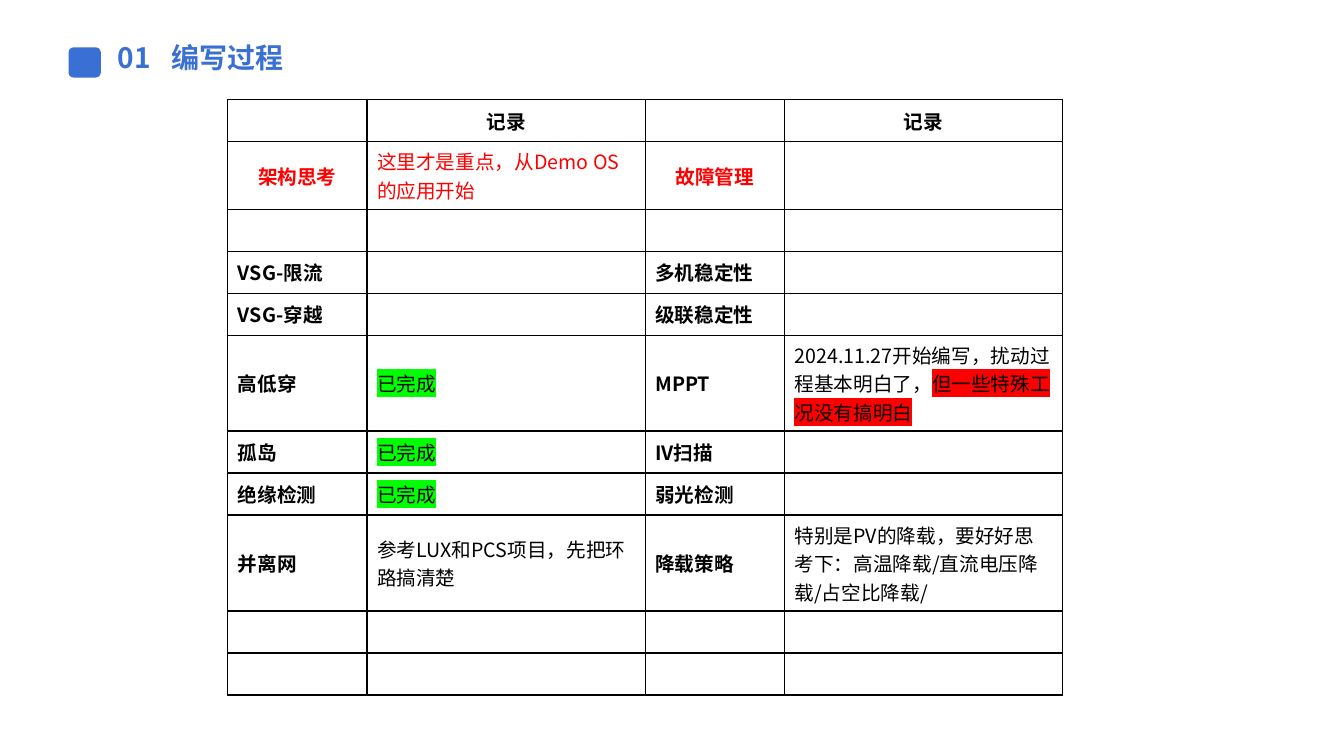
from dataclasses import dataclass

from lxml.etree import SubElement
from pptx import Presentation
from pptx.dml.color import RGBColor
from pptx.enum.shapes import MSO_SHAPE as Shape
from pptx.enum.text import MSO_ANCHOR as Anchor, MSO_AUTO_SIZE as AutoSize, PP_ALIGN as Align
from pptx.oxml.ns import qn
from pptx.util import Inches, Pt


@dataclass(frozen=True)
class Theme:
    """Colours, font and type sizes of the slide."""
    font: str = "Noto Sans CJK SC"
    title_size: int = 20
    table_size: int = 14
    blue: str = "3A70D3"
    black: str = "000000"
    red: str = "FF0000"
    green: str = "00FF00"


THEME = Theme()
DONE = [("已完成", THEME.green)]
PROGRESS = [
    ("", "记录", "", "记录"),
    ("架构思考", "这里才是重点，从Demo OS的应用开始", "故障管理", ""),
    ("", "", "", ""),
    ("VSG-限流", "", "多机稳定性", ""),
    ("VSG-穿越", "", "级联稳定性", ""),
    ("高低穿", DONE, "MPPT", [("2024.11.27开始编写，扰动过程基本明白了，", None),
                           ("但一些特殊工况没有搞明白", THEME.red)]),
    ("孤岛", DONE, "IV扫描", ""),
    ("绝缘检测", DONE, "弱光检测", ""),
    ("并离网", "参考LUX和PCS项目，先把环路搞清楚", "降载策略",
     "特别是PV的降载，要好好思考下：高温降载/直流电压降载/占空比降载/"),
    ("", "", "", ""),
    ("", "", "", ""),
]
HEADER_ROW, FOCUS_ROW = 0, 1
COLUMN_WIDTHS = (1.38, 2.76, 1.38, 2.76)
ROW_HEIGHT = 0.417


def style_paragraph(paragraph, size, color, bold, align=Align.LEFT):
    """Set font, size, colour, weight and alignment of a paragraph."""
    paragraph.alignment = align
    font = paragraph.font
    font.name, font.size, font.bold = THEME.font, Pt(size), bold
    font.color.rgb = RGBColor.from_string(color)
    defaults = paragraph._p.get_or_add_pPr().find(qn("a:defRPr"))
    SubElement(defaults, qn("a:ea"), typeface=THEME.font)


def highlight_run(run, color):
    """Put a background colour behind a run."""
    highlight = SubElement(run._r.get_or_add_rPr(), qn("a:highlight"))
    SubElement(highlight, qn("a:srgbClr"), val=color)


def fill_heading(heading, text, left, width):
    """Place a heading shape and write its text."""
    heading.left, heading.top = Inches(left), Inches(0.4)
    heading.width, heading.height = Inches(width), Inches(0.35)
    frame = heading.text_frame
    frame.word_wrap, frame.auto_size = True, AutoSize.NONE
    frame.vertical_anchor = Anchor.TOP
    frame.margin_top = frame.margin_bottom = 0
    frame.text = text
    style_paragraph(frame.paragraphs[0], THEME.title_size, THEME.blue, True)


def add_marker(slide):
    """Add the plain block in front of the heading."""
    marker = slide.shapes.add_shape(
        Shape.ROUNDED_RECTANGLE, Inches(0.68), Inches(0.47), Inches(0.32), Inches(0.3))
    marker.shadow.inherit = False
    marker.fill.solid()
    marker.fill.fore_color.rgb = RGBColor.from_string(THEME.blue)
    marker.line.fill.background()


def add_borders(cell):
    """Draw a thin line on every side of a cell."""
    properties = cell._tc.get_or_add_tcPr()
    for side in ("lnL", "lnR", "lnT", "lnB"):
        border = SubElement(properties, qn(f"a:{side}"), w=str(Pt(1)))
        fill = SubElement(border, qn("a:solidFill"))
        SubElement(fill, qn("a:srgbClr"), val=THEME.black)


def fill_cell(cell, content, row, column):
    """Write one table cell in the style of its row and column."""
    add_borders(cell)
    cell.fill.background()
    cell.vertical_anchor = Anchor.MIDDLE
    is_label = column % 2 == 0
    centered = row == HEADER_ROW or (row == FOCUS_ROW and is_label)
    paragraph = cell.text_frame.paragraphs[0]
    style_paragraph(paragraph, THEME.table_size,
                    THEME.red if row == FOCUS_ROW else THEME.black,
                    is_label or row == HEADER_ROW,
                    Align.CENTER if centered else Align.LEFT)
    segments = [(content, None)] if isinstance(content, str) else content
    for text, background in segments:
        if text:
            run = paragraph.add_run()
            run.text = text
            if background:
                highlight_run(run, background)


def add_progress_table(slide):
    """Add the table of topics and their records."""
    table = slide.shapes.add_table(
        len(PROGRESS), len(COLUMN_WIDTHS), Inches(2.26), Inches(0.99),
        Inches(sum(COLUMN_WIDTHS)), Inches(ROW_HEIGHT * len(PROGRESS))).table
    table.first_row = table.horz_banding = False
    for column, width in zip(table.columns, COLUMN_WIDTHS):
        column.width = Inches(width)
    for row, contents in enumerate(PROGRESS):
        table.rows[row].height = Inches(ROW_HEIGHT)
        for column, content in enumerate(contents):
            fill_cell(table.cell(row, column), content, row, column)


def main():
    """Build the slide and save it."""
    presentation = Presentation()
    presentation.slide_width, presentation.slide_height = Inches(13.33), Inches(7.5)
    slide = presentation.slides.add_slide(presentation.slide_layouts.get_by_name("Title Only"))
    add_marker(slide)
    fill_heading(slide.shapes.title, "编写过程", 1.6, 3.56)
    number = slide.shapes.add_textbox(0, 0, 0, 0)
    fill_heading(number, "01", 1.07, 0.63)
    add_progress_table(slide)
    presentation.save("out.pptx")


if __name__ == "__main__":
    main()
